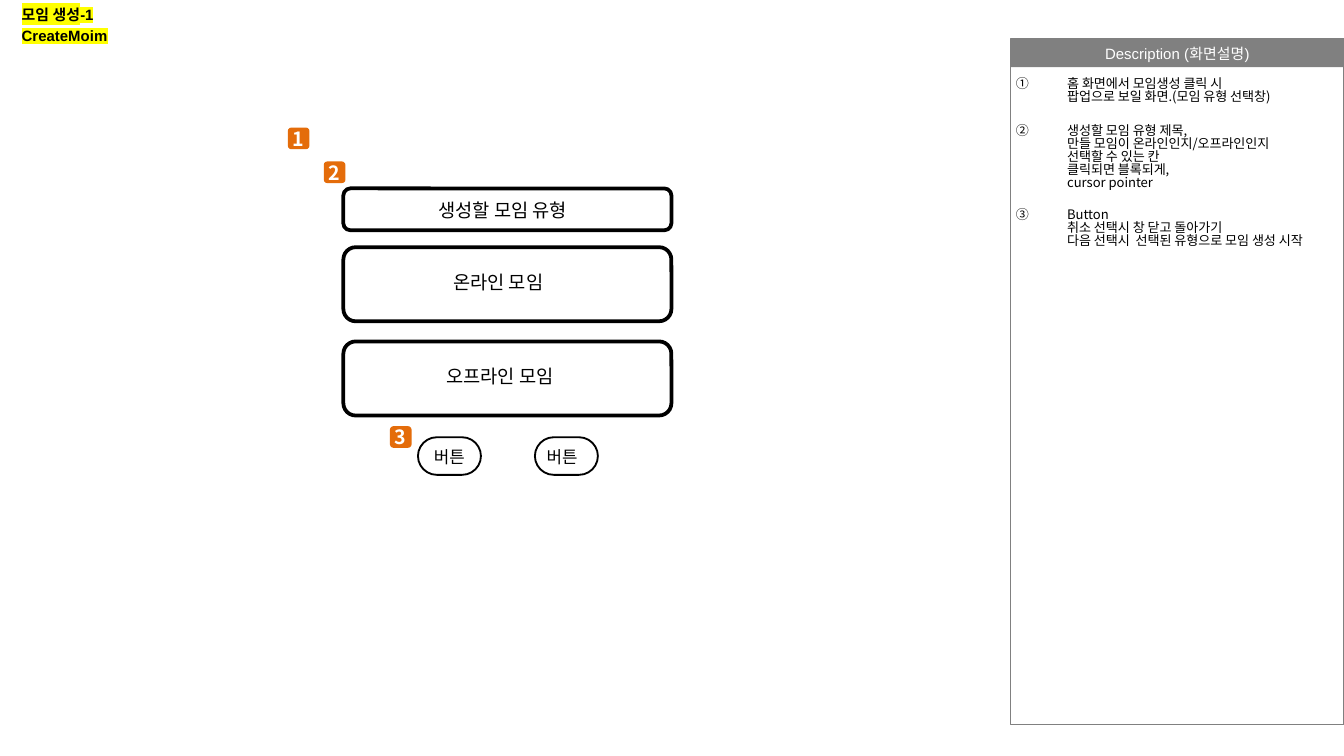
from lxml.etree import SubElement
from pptx import Presentation
from pptx.dml.color import RGBColor
from pptx.enum.shapes import MSO_SHAPE
from pptx.enum.text import MSO_ANCHOR, PP_ALIGN
from pptx.oxml.ns import qn
from pptx.util import Cm, Pt

COLORS = {"ink": "000000", "paper": "FFFFFF", "panel": "808080",
          "badge": "E46C0A", "marker": "FFFF00"}
KOREAN, LATIN = "Noto Sans CJK KR", "Arial"
LABEL_INSETS = (0.25, 0.13, 0.25, 0.13)
TIGHT_INSETS = (0, 0.13, 0, 0.13)


def color(name):
    return RGBColor.from_string(COLORS[name])


def set_all(target, values):
    for key, value in values.items():
        setattr(target, key, value)


def set_frame(frame, insets, wrap=True, anchor=MSO_ANCHOR.TOP):
    sides = ("margin_left", "margin_top", "margin_right", "margin_bottom")
    set_all(frame, {side: Cm(inset) for side, inset in zip(sides, insets)})
    set_all(frame, {"word_wrap": wrap, "vertical_anchor": anchor})


def write(paragraph, text, size, ink="ink", font=KOREAN, bold=False, marker=None):
    """Fill a paragraph; a line feed in the text becomes a line break."""
    for number, line in enumerate(text.split("\n")):
        if number:
            paragraph.add_line_break()
        run = paragraph.add_run()
        run.text = line
        set_all(run.font, {"size": Pt(size), "bold": bold, "name": font})
        run.font.color.rgb = color(ink)
        properties = run.font._element
        latin = properties.find(qn("a:latin"))
        if marker:
            highlight = SubElement(properties, qn("a:highlight"))
            SubElement(highlight, qn("a:srgbClr"), val=COLORS[marker])
            latin.addprevious(highlight)
        east_asian = SubElement(properties, qn("a:ea"), typeface=KOREAN)
        latin.addnext(east_asian)


def hang(paragraph, indent=0.97):
    properties = paragraph._p.get_or_add_pPr()
    properties.set("marL", str(Cm(indent)))
    properties.set("indent", str(-Cm(indent)))
    return properties


def add_box(slide, kind, box, fill=None, line=None, width=1, corner=None):
    shape = slide.shapes.add_shape(kind, *map(Cm, box))
    shape.shadow.inherit = False
    if corner is not None:
        shape.adjustments[0] = corner
    if fill:
        shape.fill.solid()
        shape.fill.fore_color.rgb = color(fill)
    else:
        shape.fill.background()
    if line:
        shape.line.color.rgb = color(line)
        shape.line.width = Pt(width)
    else:
        shape.line.fill.background()
    return shape


def add_text_area(slide, box, insets):
    frame = slide.shapes.add_textbox(*map(Cm, box)).text_frame
    set_frame(frame, insets)
    return frame


def add_label(slide, box, text, size):
    write(add_text_area(slide, box, LABEL_INSETS).paragraphs[0], text, size)


def add_badge(slide, left, top, number):
    frame = add_box(slide, MSO_SHAPE.ROUNDED_RECTANGLE,
                    (left, top, 0.41, 0.41), fill="badge").text_frame
    set_frame(frame, TIGHT_INSETS, anchor=MSO_ANCHOR.MIDDLE)
    frame.paragraphs[0].alignment = PP_ALIGN.CENTER
    write(frame.paragraphs[0], str(number), 10.5, "paper", bold=True)


def build_title(slide, box):
    frame = add_text_area(slide, box, TIGHT_INSETS)
    for number, line in enumerate(("모임 생성-1", "CreateMoim")):
        paragraph = frame.add_paragraph() if number else frame.paragraphs[0]
        paragraph.space_before = Pt(1.6)
        hang(paragraph)
        write(paragraph, line, 8, font=LATIN, bold=True, marker="marker")


def build_description(slide, box):
    left, top, width, height = box
    header_height = 0.53

    # Header bar and outline
    header = add_box(slide, MSO_SHAPE.RECTANGLE,
                     (left, top, width, header_height), fill="panel").text_frame
    set_frame(header, (0.23, 0.1, 0.23, 0.1), wrap=False, anchor=MSO_ANCHOR.MIDDLE)
    header.paragraphs[0].alignment = PP_ALIGN.CENTER
    write(header.paragraphs[0], "Description (화면설명)", 8, "paper", LATIN)
    add_box(slide, MSO_SHAPE.RECTANGLE, box, line="panel", width=0.75)

    # Numbered notes: space before in points, text
    notes = (
        (1.4, "홈 화면에서 모임생성 클릭 시 \n팝업으로 보일 화면.(모임 유형 선택창)"),
        (11, "생성할 모임 유형 제목, \n만들 모임이 온라인인지/오프라인인지\n"
             "선택할 수 있는 칸 \n클릭되면 블록되게, \ncursor pointer"),
        (10, "Button \n취소 선택시 창 닫고 돌아가기\n"
             "다음 선택시  선택된 유형으로 모임 생성 시작"),
    )
    frame = add_text_area(slide, (left, top + 0.61, width, height - 0.61),
                          (0.1, 0.13, 0, 0.13))
    for number, (gap, note) in enumerate(notes):
        paragraph = frame.add_paragraph() if number else frame.paragraphs[0]
        set_all(paragraph, {"space_before": Pt(gap), "line_spacing": 0.83})
        SubElement(hang(paragraph), qn("a:buAutoNum"), type="circleNumDbPlain")
        write(paragraph, note, 7)


def build_popup(slide, box):
    left, top, width, _ = box

    # Title and choice cards: top, height, label offset, label width, text
    card_width = 6.2
    card_left = left + (width - card_width) / 2
    cards = ((0.94, 0.79, (1.55, 0.07), 3.25, "생성할 모임 유형"),
             (2.05, 1.4, (1.83, 0.31), 2.54, "온라인 모임"),
             (3.83, 1.4, (1.7, 0.31), 2.77, "오프라인 모임"))
    for card_top, card_height, (dx, dy), label_width, text in cards:
        add_box(slide, MSO_SHAPE.ROUNDED_RECTANGLE,
                (card_left, top + card_top, card_width, card_height),
                line="ink", width=2)
        add_label(slide, (card_left + dx, top + card_top + dy, label_width, 0.69),
                  text, 10)

    # Buttons: left, label offset
    button_top = top + 5.64
    for button_left, dx in ((2.11, 0.05), (4.32, -0.03)):
        add_box(slide, MSO_SHAPE.ROUNDED_RECTANGLE,
                (left + button_left, button_top, 1.19, 0.71), line="ink", corner=0.5)
        add_label(slide, (left + button_left + dx, button_top + 0.05, 1.14, 0.64),
                  "버튼", 9)

    # Numbered badges
    for number, (dx, dy) in enumerate(((-0.35, -0.21), (0.33, 0.43), (1.58, 5.43)), 1):
        add_badge(slide, left + dx, top + dy, number)


def main():
    deck = Presentation()
    set_all(deck, {"slide_width": Cm(25.4), "slide_height": Cm(14.28)})
    slide = deck.slides.add_slide(deck.slide_layouts[6])
    build_description(slide, (19.1, 0.74, 6.3, 12.95))
    build_popup(slide, (5.79, 2.62, 7.6, 6.73))
    build_title(slide, (0.41, -0.03, 2.79, 0.79))
    deck.save("out.pptx")


if __name__ == "__main__":
    main()
